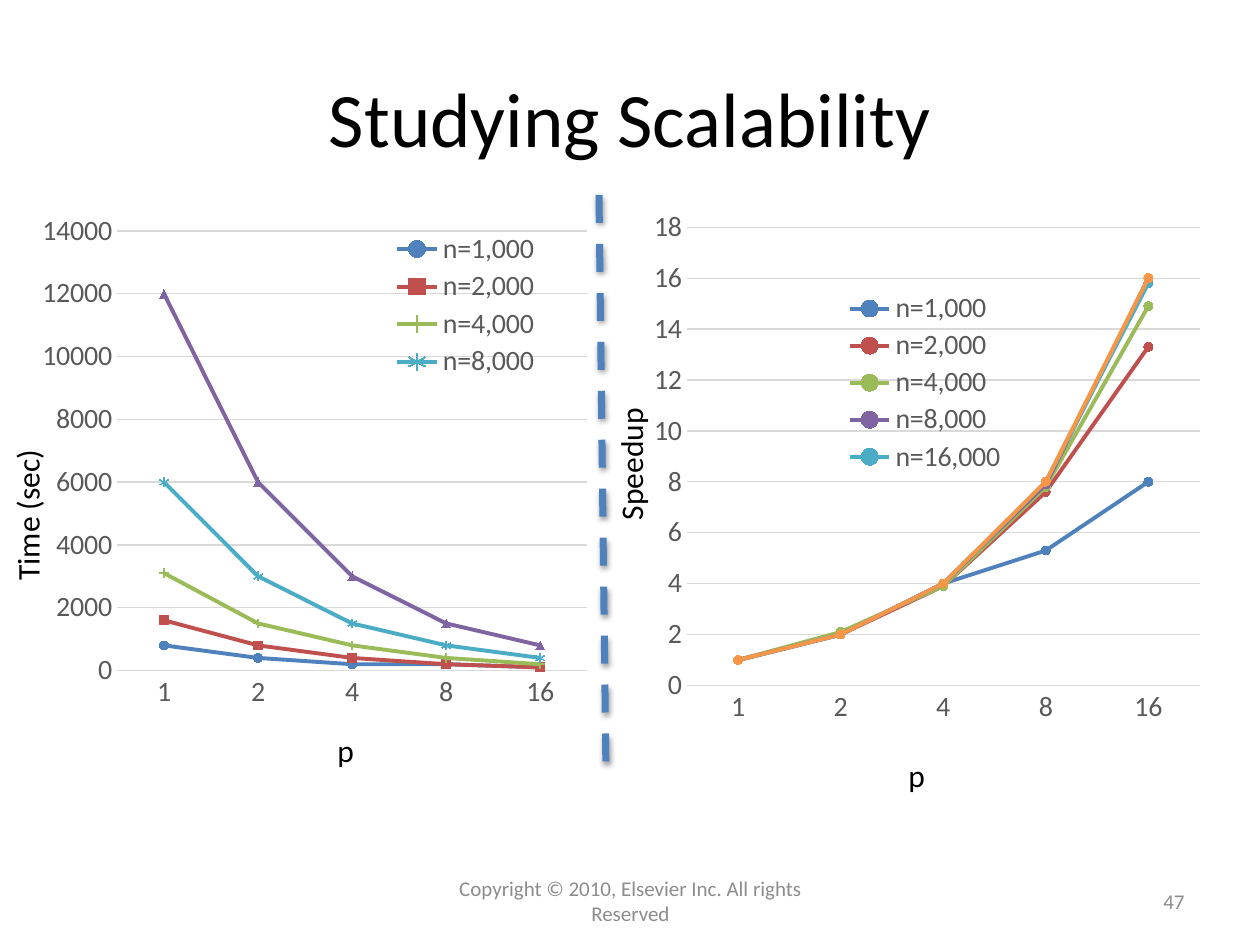
from lxml import etree
from pptx import Presentation
from pptx.chart.data import CategoryChartData
from pptx.dml.color import RGBColor
from pptx.enum.chart import XL_CHART_TYPE, XL_LEGEND_POSITION, XL_MARKER_STYLE, XL_TICK_MARK
from pptx.enum.dml import MSO_LINE
from pptx.enum.shapes import MSO_CONNECTOR
from pptx.enum.text import MSO_ANCHOR, PP_ALIGN
from pptx.oxml import parse_xml
from pptx.oxml.ns import qn
from pptx.util import Emu, Pt

LEFT, CENTER, RIGHT = PP_ALIGN.LEFT, PP_ALIGN.CENTER, PP_ALIGN.RIGHT
TOP, MIDDLE = MSO_ANCHOR.TOP, MSO_ANCHOR.MIDDLE
CIRCLE, SQUARE = XL_MARKER_STYLE.CIRCLE, XL_MARKER_STYLE.SQUARE
PLUS, STAR, TRIANGLE = XL_MARKER_STYLE.PLUS, XL_MARKER_STYLE.STAR, XL_MARKER_STYLE.TRIANGLE
NO_TICK = XL_TICK_MARK.NONE

BLACK = RGBColor(0x00, 0x00, 0x00)
GRAY = RGBColor(0x59, 0x59, 0x59)
FOOTER_GRAY = RGBColor(0x8C, 0x8C, 0x8C)
GRID = RGBColor(0xD9, 0xD9, 0xD9)
BLUE = RGBColor(0x4F, 0x81, 0xBD)
RED = RGBColor(0xC0, 0x50, 0x4D)
GREEN = RGBColor(0x9B, 0xBB, 0x59)
PURPLE = RGBColor(0x80, 0x64, 0xA2)
TEAL = RGBColor(0x4B, 0xAC, 0xC6)
ORANGE = RGBColor(0xF7, 0x96, 0x46)

FONT = "Calibri"
PX_PER_INCH = 126
PROCESSORS = ["1", "2", "4", "8", "16"]

CHARTS = [
    {
        "box": (34, 208, 554, 513),
        "plot": (0.15, 0.045, 0.85, 0.857),
        "legend": (0.64, 0.04, 0.28, 0.3),
        "legend_position": XL_LEGEND_POSITION.BOTTOM,
        "maximum": 14000,
        "step": 2000,
        "series": [
            ("n=1,000", [800, 400, 200, 200, 100], BLUE, CIRCLE),
            ("n=2,000", [1600, 800, 400, 200, 100], RED, SQUARE),
            ("n=4,000", [3100, 1500, 800, 400, 200], GREEN, PLUS),
            ("n=8,000", [6000, 3000, 1500, 800, 400], TEAL, STAR),
            ("n=16,000", [12000, 6000, 3000, 1500, 800], PURPLE, TRIANGLE),
        ],
    },
    {
        "box": (654, 208, 606, 538),
        "plot": (0.05, 0.036, 0.85, 0.852),
        "legend": (0.31, 0.15, 0.27, 0.35),
        "legend_position": XL_LEGEND_POSITION.RIGHT,
        "maximum": 18,
        "step": 2,
        "series": [
            ("n=1,000", [1, 2, 4, 5.3, 8], BLUE, CIRCLE),
            ("n=2,000", [1, 2, 3.9, 7.6, 13.3], RED, CIRCLE),
            ("n=4,000", [1, 2.1, 3.9, 7.8, 14.9], GREEN, CIRCLE),
            ("n=8,000", [1, 2, 4, 7.9, 16], PURPLE, CIRCLE),
            ("n=16,000", [1, 2, 4, 8, 15.8], TEAL, CIRCLE),
            ("Ideal", [1, 2, 4, 8, 16], ORANGE, CIRCLE),
        ],
    },
]

AXIS_LABELS = [
    ("p", (325, 725, 43, 50), 0),
    ("Time (sec)", (-52, 489, 158, 50), 270),
    ("Speedup", (561, 438, 139, 50), 270),
    ("p", (896, 750, 43, 50), 0),
]

FOOTERS = [
    ("Copyright © 2010, Elsevier Inc. All rights Reserved", (431, 876, 399, 50), CENTER),
    ("47", (903, 876, 294, 50), RIGHT),
]

DIVIDER = (599, 195, 606, 775)
SHADOW = (
    '<a:effectLst xmlns:a="http://schemas.openxmlformats.org/drawingml/2006/main">'
    '<a:outerShdw blurRad="40000" dist="20000" dir="5400000" rotWithShape="0">'
    '<a:srgbClr val="000000"><a:alpha val="38000"/></a:srgbClr>'
    "</a:outerShdw></a:effectLst>"
)


def px(*lengths):
    return [Emu(round(length * 914400 / PX_PER_INCH)) for length in lengths]


def style_font(font, size, color):
    font.name = FONT
    font.size = Pt(size)
    font.color.rgb = color


def write(shape, text, size=18, color=BLACK, align=LEFT, anchor=TOP, wrap=True):
    frame = shape.text_frame
    frame.word_wrap = wrap
    frame.vertical_anchor = anchor
    para = frame.paragraphs[0]
    para.alignment = align
    span = para.add_run()
    span.text = text
    style_font(span.font, size, color)


def make_layout(fractions, inner=False):
    layout = etree.Element(qn("c:layout"))
    manual = etree.SubElement(layout, qn("c:manualLayout"))
    settings = [("layoutTarget", "inner")] if inner else []
    settings += [("xMode", "edge"), ("yMode", "edge")]
    settings += zip("xywh", map(str, fractions))
    for tag, value in settings:
        etree.SubElement(manual, qn("c:" + tag)).set("val", value)
    return layout


def place_plot(chart, fractions):
    area = chart.element.xpath("c:chart/c:plotArea")[0]
    for layout in area.findall(qn("c:layout")):
        area.remove(layout)
    area.insert(0, make_layout(fractions, inner=True))


def place_legend(chart, fractions, hidden_entry):
    legend = chart.element.xpath("c:chart/c:legend")[0]
    for layout in legend.findall(qn("c:layout")):
        legend.remove(layout)
    entry = etree.Element(qn("c:legendEntry"))
    etree.SubElement(entry, qn("c:idx")).set("val", str(hidden_entry))
    etree.SubElement(entry, qn("c:delete")).set("val", "1")
    position = legend.find(qn("c:legendPos"))
    position.addnext(entry)
    entry.addnext(make_layout(fractions))


def style_axes(chart, maximum, step):
    category, value = chart.category_axis, chart.value_axis
    for axis in (category, value):
        axis.major_tick_mark = axis.minor_tick_mark = NO_TICK
        style_font(axis.tick_labels.font, 16, GRAY)
    value.minimum_scale, value.maximum_scale, value.major_unit = 0, maximum, step
    value.has_major_gridlines = True
    value.format.line.fill.background()
    for line in (category.format.line, value.major_gridlines.format.line):
        line.color.rgb = GRID
        line.width = Pt(0.75)


def style_series(series, color, style):
    series.smooth = False
    series.format.line.color.rgb = color
    series.format.line.width = Pt(2.25)
    marker = series.marker
    marker.style = style
    marker.size = 5
    marker.format.line.color.rgb = color
    if style in (PLUS, STAR):
        marker.format.fill.background()
    else:
        marker.format.fill.solid()
        marker.format.fill.fore_color.rgb = color


def add_line_chart(page, content):
    data = CategoryChartData()
    data.categories = PROCESSORS
    for name, values, _, _ in content["series"]:
        data.add_series(name, values)
    chart = page.shapes.add_chart(XL_CHART_TYPE.LINE_MARKERS, *px(*content["box"]), data).chart
    chart.has_title = False
    style_font(chart.font, 10, BLACK)
    chart.plots[0].vary_by_categories = False
    for series, (_, _, color, style) in zip(chart.plots[0].series, content["series"]):
        style_series(series, color, style)
    style_axes(chart, content["maximum"], content["step"])
    chart.has_legend = True
    chart.legend.position = content["legend_position"]
    chart.legend.include_in_layout = False
    style_font(chart.legend.font, 16, GRAY)
    place_plot(chart, content["plot"])
    place_legend(chart, content["legend"], len(content["series"]) - 1)


def main():
    deck = Presentation()
    deck.slide_width, deck.slide_height = px(1260, 945)
    page = deck.slides.add_slide(deck.slide_layouts[5])
    title = page.shapes.title
    title.left, title.top, title.width, title.height = px(63, 38, 1134, 158)
    write(title, "Studying Scalability", size=44, align=CENTER, anchor=MIDDLE)
    for content in CHARTS:
        add_line_chart(page, content)
    for text, place, rotation in AXIS_LABELS:
        box = page.shapes.add_textbox(*px(*place))
        box.rotation = rotation
        write(box, text, wrap=False)
    for text, place, align in FOOTERS:
        box = page.shapes.add_textbox(*px(*place))
        write(box, text, size=12, color=FOOTER_GRAY, align=align, anchor=MIDDLE)
    divider = page.shapes.add_connector(MSO_CONNECTOR.STRAIGHT, *px(*DIVIDER))
    divider.line.color.rgb = BLUE
    divider.line.width = Pt(4)
    divider.line.dash_style = MSO_LINE.DASH
    divider.element.spPr.append(parse_xml(SHADOW))
    deck.save("out.pptx")


if __name__ == "__main__":
    main()
